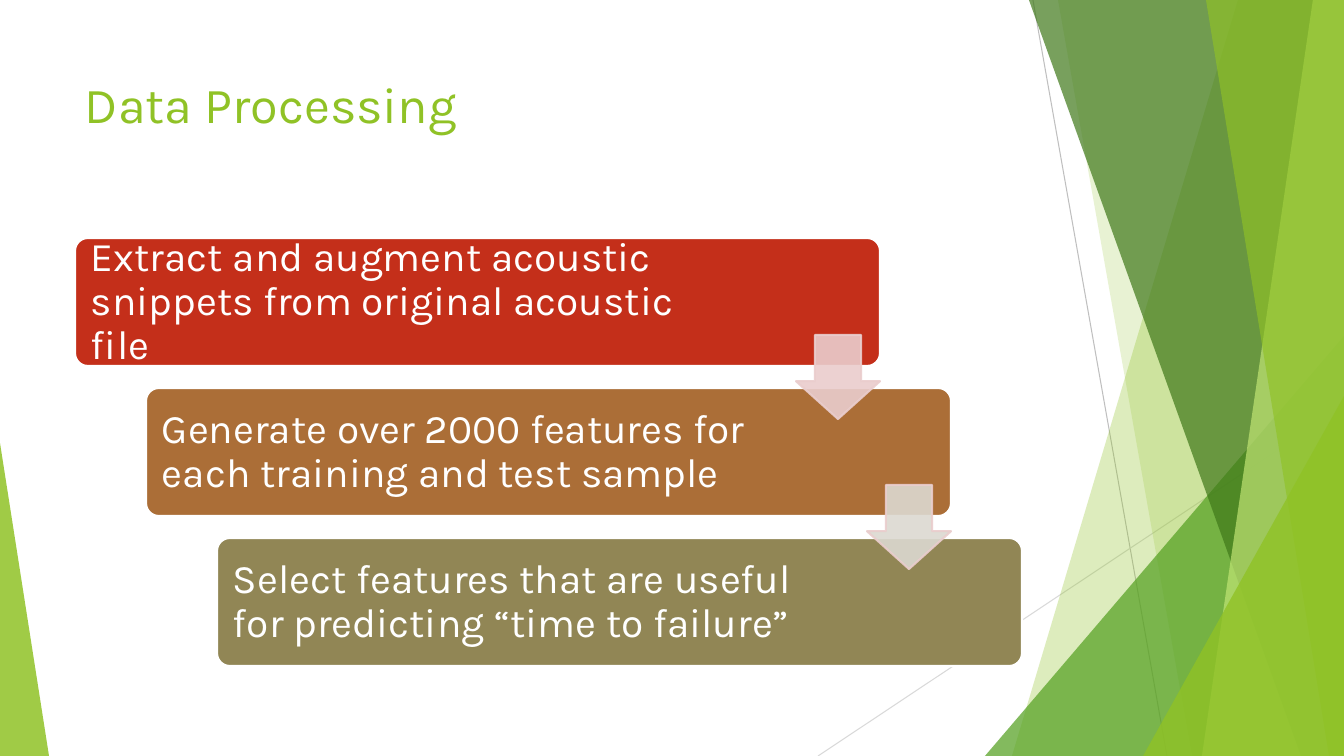
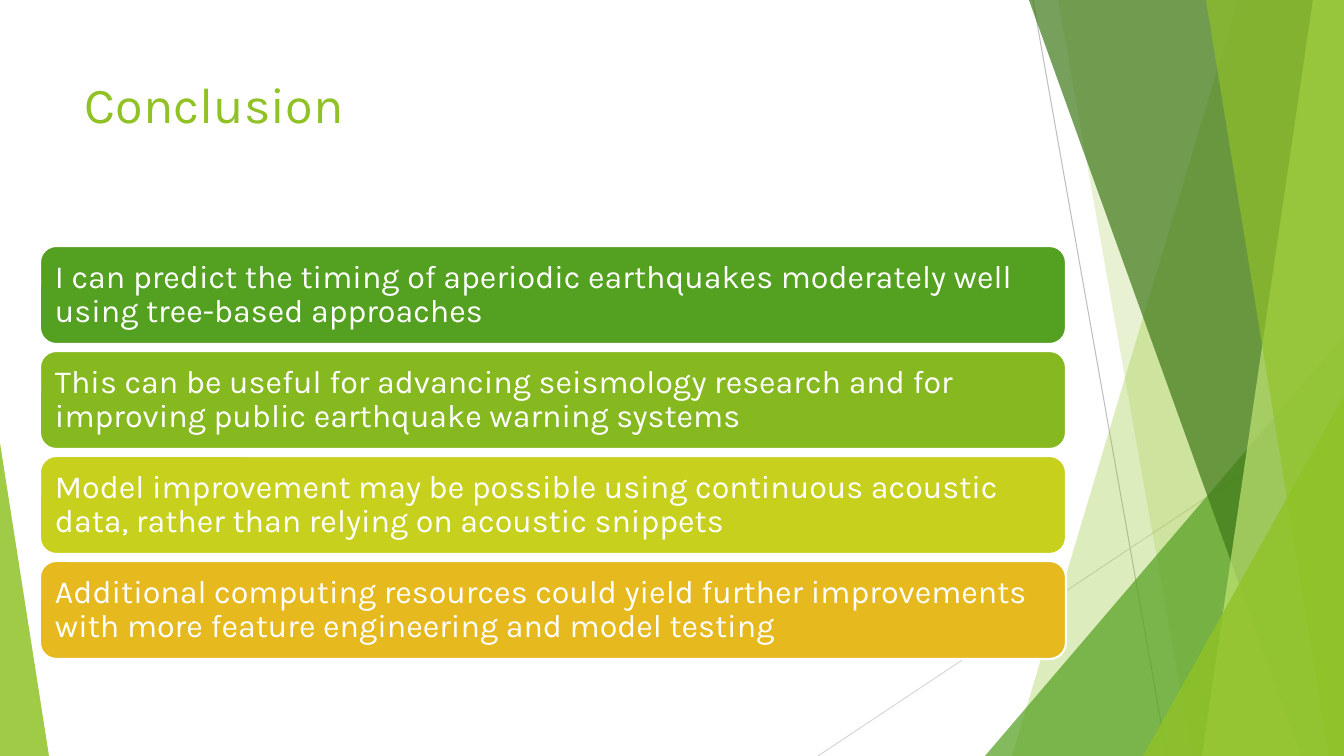
from lxml import etree
from pptx import Presentation
from pptx import util as u
from pptx.dml.color import RGBColor
from pptx.enum import shapes, text
from pptx.oxml import ns

SCALE = 914400 / 100.8
WIDTH, HEIGHT = 1344, 756
FONT = "Karla"

WHITE = RGBColor(0xFF, 0xFF, 0xFF)
GRAY = RGBColor(0xBF, 0xBF, 0xBF)
LIGHT_GRAY = RGBColor(0xD9, 0xD9, 0xD9)
LIME = RGBColor(0x90, 0xC2, 0x26)
PALE_LIME = RGBColor(0xC0, 0xE4, 0x74)
GREEN = RGBColor(0x54, 0xA0, 0x21)
DARK_GREEN = RGBColor(0x3F, 0x78, 0x19)
RED = RGBColor(0xC4, 0x2F, 0x1A)
BROWN = RGBColor(0xAB, 0x6E, 0x37)
OLIVE = RGBColor(0x91, 0x86, 0x55)
LEAF = RGBColor(0x86, 0xB8, 0x20)
YELLOW = RGBColor(0xC7, 0xD0, 0x1D)
GOLD = RGBColor(0xE6, 0xB9, 0x1E)
PINK = RGBColor(0xEA, 0xCD, 0xCD)
STONE = RGBColor(0xDC, 0xD9, 0xD1)


def px(*lengths):
    return [u.Emu(round(length * SCALE)) for length in lengths]


def dress(shape, fill, line=None, opacity=100, adjustments=()):
    shape.shadow.inherit = False
    shape.fill.solid()
    shape.fill.fore_color.rgb = fill
    if line is None:
        shape.line.fill.background()
    else:
        shape.line.color.rgb = line
        shape.line.width = u.Pt(1.5)
    if opacity < 100:
        for color in shape._element.spPr.iter(ns.qn("a:srgbClr")):
            etree.SubElement(color, ns.qn("a:alpha"), val=str(opacity * 1000))
    for index, value in enumerate(adjustments):
        shape.adjustments[index] = value


RULES = [
    ((1033, 0, 1167, HEIGHT), GRAY),
    ((WIDTH, 406, 818, HEIGHT), LIGHT_GRAY),
]
BACKDROP = [
    ("band", (1238, 1012), LIME, 30),
    ("band", (1058, 1192), LIME, 20),
    ("triangle", (985, 336, 359, 1), GREEN, 72),
    ("band", (1029, 1301), DARK_GREEN, 70),
    ("band", (1313, 1202), PALE_LIME, 70),
    ("band", (1206, 1329), LIME, 65),
    ("triangle", (1143, 396, 201, 1), LIME, 80),
    ("triangle", (0, 443, 49, 0), LIME, 85),
]
STEPS = [
    ("Extract and augment acoustic snippets from original acoustic file", RED, 667),
    ("Generate over 2000 features for each training and test sample", BROWN, 643),
    ("Select features that are useful for predicting “time to failure”", OLIVE, 643),
]
FINDINGS = [
    ("I can predict the timing of aperiodic earthquakes moderately well "
     "using tree-based approaches", GREEN),
    ("This can be useful for advancing seismology research and for "
     "improving public earthquake warning systems", LEAF),
    ("Model improvement may be possible using continuous acoustic data, "
     "rather than relying on acoustic snippets", YELLOW),
    ("Additional computing resources could yield further improvements "
     "with more feature engineering and model testing", GOLD),
]


def write(page, words, at, size, color=WHITE, anchor=text.MSO_ANCHOR.MIDDLE,
          insets=(10, 10), spacing=0.9):
    frame = page.shapes.add_textbox(*px(*at)).text_frame
    frame.word_wrap = True
    frame.vertical_anchor = anchor
    frame.margin_left = frame.margin_right = px(insets[0])[0]
    frame.margin_top = frame.margin_bottom = px(insets[1])[0]
    para = frame.paragraphs[0]
    para.line_spacing = spacing
    span = para.add_run()
    span.text = words
    span.font.name = FONT
    span.font.size = u.Pt(size)
    span.font.color.rgb = color


deck = Presentation()
deck.slide_width, deck.slide_height = px(WIDTH, HEIGHT)
pages = []
for title in ("Data Processing", "Conclusion"):
    page = deck.slides.add_slide(deck.slide_layouts[6])
    pages.append(page)
    for ends, color in RULES:
        rule = page.shapes.add_connector(shapes.MSO_CONNECTOR.STRAIGHT, *px(*ends))
        rule.line.color.rgb = color
        rule.line.width = u.Pt(0.75)
        etree.SubElement(rule._element.spPr, ns.qn("a:effectLst"))
    for kind, place, color, opacity in BACKDROP:
        if kind == "band":
            top_x, bottom_x = place
            outline = page.shapes.build_freeform(top_x, 0, scale=SCALE)
            outline.add_line_segments(
                [(WIDTH, 0), (WIDTH, HEIGHT), (bottom_x, HEIGHT)], close=True)
            dress(outline.convert_to_shape(), color, opacity=opacity)
        else:
            left, top, width, apex = place
            triangle = page.shapes.add_shape(
                shapes.MSO_SHAPE.ISOSCELES_TRIANGLE, *px(left, top, width, HEIGHT - top))
            dress(triangle, color, opacity=opacity, adjustments=[apex])
    write(page, title, (75, 68, 948, 145), 36, color=LIME,
          anchor=text.MSO_ANCHOR.TOP, insets=(10, 5), spacing=1.0)

processing, conclusion = pages

for index, (words, color, width) in enumerate(STEPS):
    left, top = 75 + 71 * index, 238 + 150 * index
    card = processing.shapes.add_shape(
        shapes.MSO_SHAPE.ROUNDED_RECTANGLE, *px(left, top, 805, 128))
    dress(card, color, line=WHITE, adjustments=[0.1])
    write(processing, words, (left + 4, top + 4, width, 121), 29, insets=(12, 12))

for index, color in enumerate((PINK, STONE)):
    arrow = processing.shapes.add_shape(
        shapes.MSO_SHAPE.DOWN_ARROW, *px(796 + 71 * index, 335 + 150 * index, 84, 84))
    dress(arrow, color, line=PINK, opacity=90, adjustments=[0.55, 0.45])

for index, (words, color) in enumerate(FINDINGS):
    top = 246 + 105 * index
    card = conclusion.shapes.add_shape(
        shapes.MSO_SHAPE.ROUNDED_RECTANGLE, *px(40, top, 1026, 98))
    dress(card, color, line=WHITE)
    write(conclusion, words, (45, top + 5, 1016, 88), 23)

deck.save("out.pptx")
